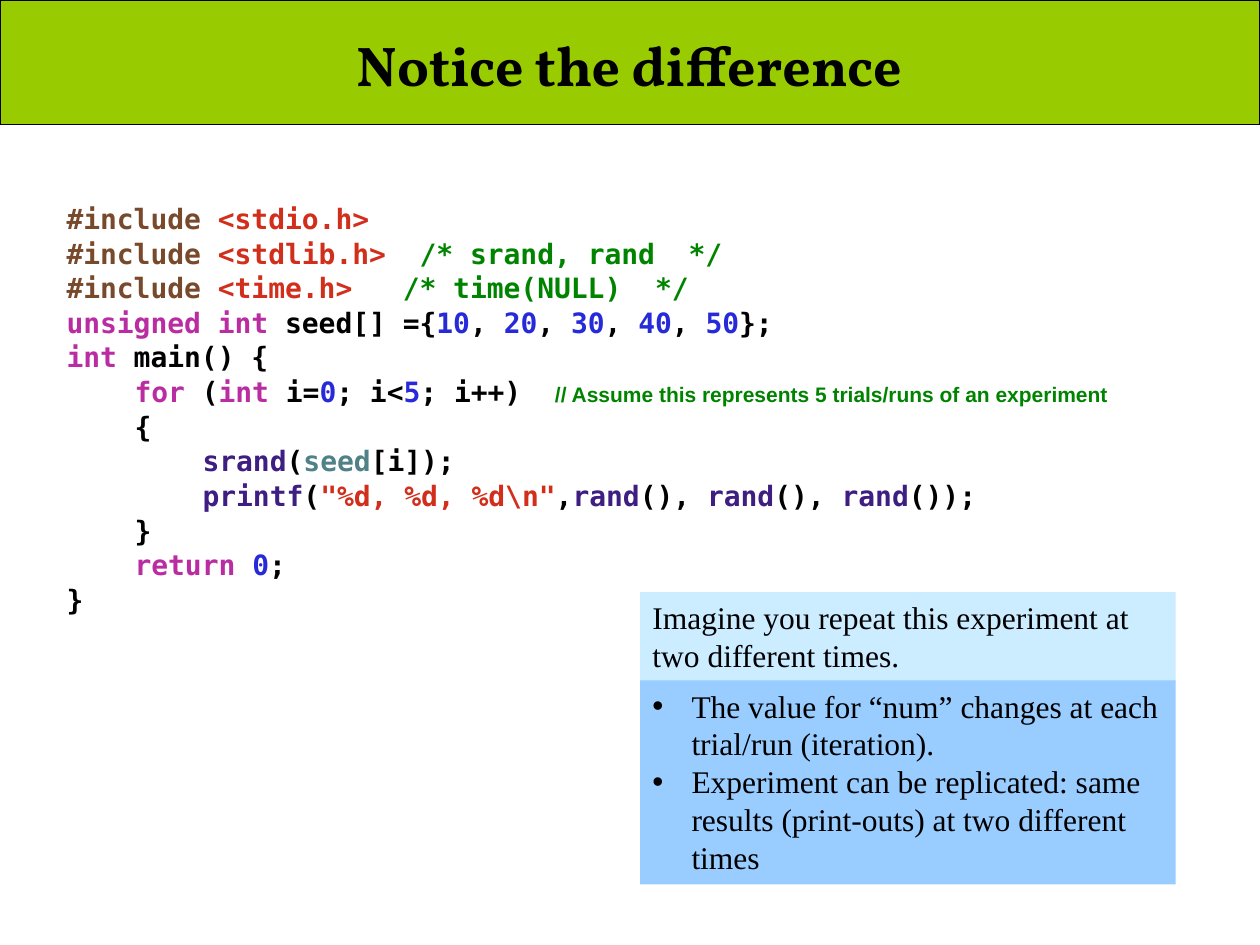
from typing import NamedTuple

from lxml.etree import SubElement
from pptx import Presentation
from pptx.dml.color import RGBColor
from pptx.enum.shapes import MSO_SHAPE
from pptx.enum.text import MSO_ANCHOR, PP_ALIGN
from pptx.oxml.ns import qn
from pptx.util import Inches, Pt

COLORS = {
    "bar": "99CC00", "pale": "CCECFF", "blue": "99CCFF",
    "text": "000000", "include": "78492A", "string": "D12F1B",
    "comment": "008400", "keyword": "BA2DA2", "number": "272AD8",
    "call": "3E1E81", "global": "4F8187",
}
STEP = 0.54  # four code characters


class Box(NamedTuple):
    left: float
    top: float
    width: float
    height: float


class Line(NamedTuple):
    level: int
    runs: list[tuple[str, str]]


class Note(NamedTuple):
    box: Box
    fill: str
    items: list[str]
    bullet: bool


def header(name: str) -> list[tuple[str, str]]:
    return [("include", "#include "), ("string", f"<{name}>")]


def series(color: str, items: list[str], gap: str) -> list[tuple[str, str]]:
    """Return coloured items with plain gaps between them."""
    runs = []
    for item in items:
        runs += [(color, item), ("text", gap)]
    return runs[:-1]


CODE = [
    Line(0, header("stdio.h")),
    Line(0, header("stdlib.h") + [("comment", "  /* srand, rand  */")]),
    Line(0, header("time.h") + [("comment", "   /* time(NULL)  */")]),
    Line(0, [("keyword", "unsigned int"), ("text", " seed[] ={"),
             *series("number", ["10", "20", "30", "40", "50"], ", "),
             ("text", "};")]),
    Line(0, [("keyword", "int"), ("text", " main() {")]),
    Line(1, [("keyword", "for"), ("text", " ("), ("keyword", "int "),
             ("text", "i="), ("number", "0"), ("text", "; i<"),
             ("number", "5"), ("text", "; i++)  "),
             ("comment", "// Assume this represents 5 trials/runs of an experiment")]),
    Line(1, [("text", "{")]),
    Line(2, [("call", "srand"), ("text", "("), ("global", "seed"),
             ("text", "[i]);")]),
    Line(2, [("call", "printf"), ("text", "("),
             ("string", '"%d, %d, %d\\n"'), ("text", ","),
             *series("call", ["rand"] * 3, "(), "), ("text", "());")]),
    Line(1, [("text", "}")]),
    Line(1, [("keyword", "return "), ("number", "0"), ("text", ";")]),
    Line(0, [("text", "}")]),
]

NOTES = [
    Note(Box(5.08, 4.7, 4.25, 0.71), "pale",
         ["Imagine you repeat this experiment at two different times."], False),
    Note(Box(5.08, 5.4, 4.25, 1.62), "blue",
         ["The value for “num” changes at each trial/run (iteration).",
          "Experiment can be replicated: same results (print-outs) at two different times"],
         True),
]


def color(name: str) -> RGBColor:
    return RGBColor.from_string(COLORS[name])


def style(font, face: str, size: float, bold: bool = False) -> None:
    font.name, font.size, font.bold = face, Pt(size), bold
    font.color.rgb = color("text")


def place(box: Box) -> list:
    return [Inches(n) for n in box]


def add_rect(slide, box: Box, fill: str):
    rect = slide.shapes.add_shape(MSO_SHAPE.RECTANGLE, *place(box))
    rect.shadow.inherit = False
    rect.fill.solid()
    rect.fill.fore_color.rgb = color(fill)
    rect.line.fill.background()
    return rect


def add_title(slide) -> None:
    bar = add_rect(slide, Box(0, 0, 10, 0.99), "bar")
    bar.line.color.rgb = color("text")
    bar.line.width = Pt(0.75)
    frame = slide.shapes.add_textbox(*place(Box(0.35, 0.02, 9.29, 0.98))).text_frame
    frame.word_wrap = True
    frame.vertical_anchor = MSO_ANCHOR.MIDDLE
    para = frame.paragraphs[0]
    para.text = "Notice the difference"
    para.alignment = PP_ALIGN.CENTER
    style(para.font, "Vollkorn", 32, True)


def indent(para, left: float, first: float = 0) -> None:
    props = para._p.get_or_add_pPr()
    props.set("marL", str(Inches(left)))
    props.set("indent", str(Inches(first)))


def add_code(slide, lines: list[Line]) -> None:
    frame = slide.shapes.add_textbox(*place(Box(0.43, 1.55, 9.5, 4.25))).text_frame
    frame.word_wrap = True
    for i, line in enumerate(lines):
        para = frame.add_paragraph() if i else frame.paragraphs[0]
        para.space_before = Pt(0.6)
        style(para.font, "DejaVu Sans Mono", 16, True)
        indent(para, line.level * STEP)
        for kind, text in line.runs:
            run = para.add_run()
            run.text = text
            run.font.color.rgb = color(kind)
            if text.startswith("//"):
                run.font.name, run.font.size = "Arial", Pt(12)


def add_note(slide, note: Note) -> None:
    frame = add_rect(slide, note.box, note.fill).text_frame
    frame.word_wrap = True
    frame.vertical_anchor = MSO_ANCHOR.TOP
    for i, item in enumerate(note.items):
        para = frame.add_paragraph() if i else frame.paragraphs[0]
        para.text = item
        para.alignment = PP_ALIGN.LEFT
        if note.bullet:
            indent(para, 0.31, -0.31)
            props = para._p.get_or_add_pPr()
            SubElement(props, qn("a:buFont")).set("typeface", "Arial")
            SubElement(props, qn("a:buChar")).set("char", "•")
        style(para.font, "Times New Roman", 18)


def main() -> None:
    deck = Presentation()
    deck.slide_width, deck.slide_height = Inches(10), Inches(7.5)
    slide = deck.slides.add_slide(deck.slide_layouts[6])
    add_title(slide)
    add_code(slide, CODE)
    for note in NOTES:
        add_note(slide, note)
    deck.save("out.pptx")


if __name__ == "__main__":
    main()
